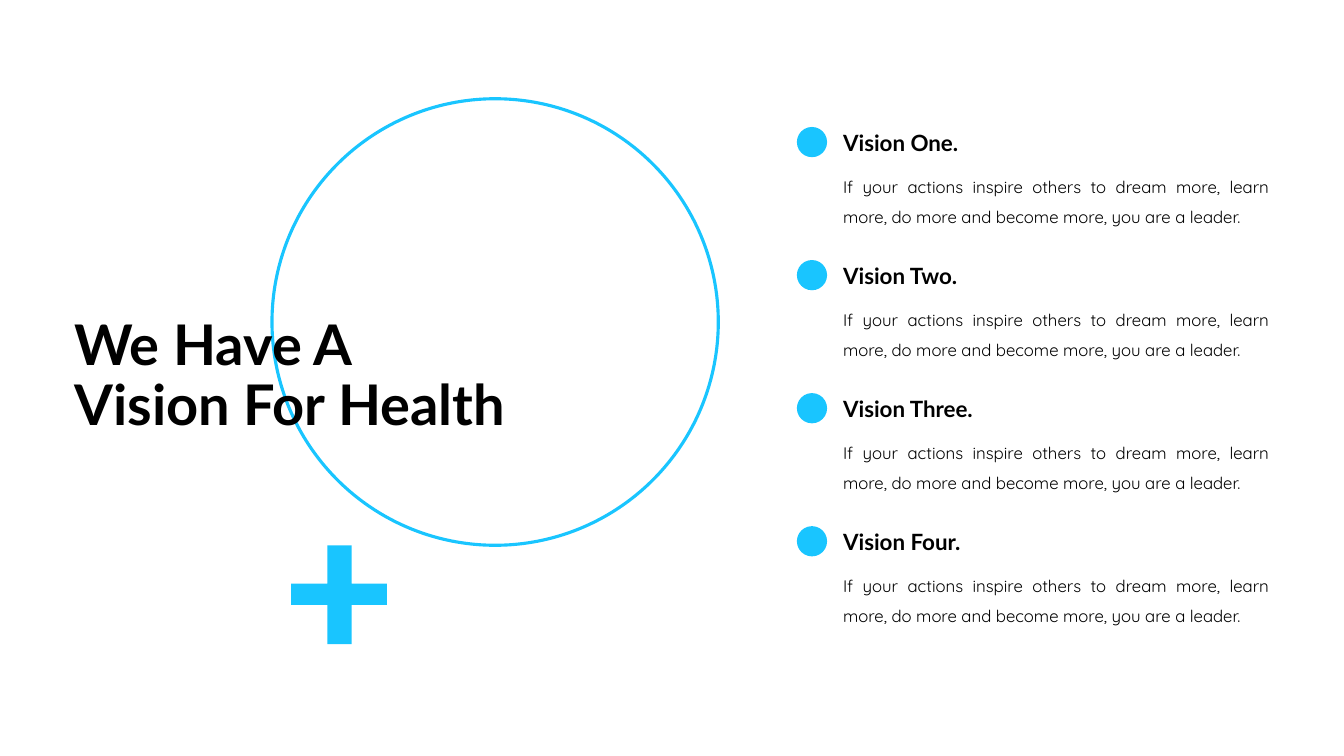
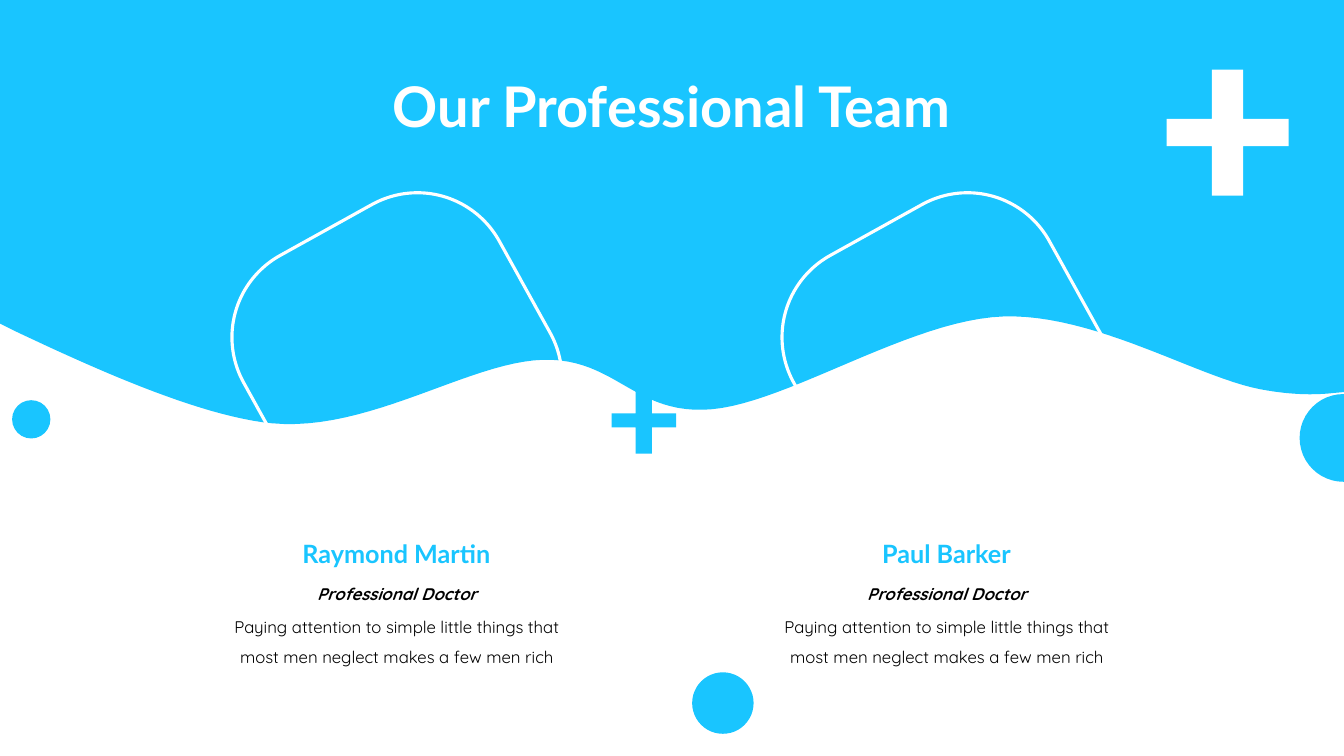
from pptx import Presentation
from pptx import util as u
from pptx.dml.color import RGBColor
from pptx.enum import shapes, text

PX = 9144  # EMU in one px: 100 px to the inch
FINE = 100  # freeform units in one px
COLORS = {"accent": "19C5FF", "ink": "000000", "paper": "FFFFFF"}
HEAD, BODY = "Lato", "Quicksand"
LEFT, CENTER, JUSTIFY = text.PP_ALIGN.LEFT, text.PP_ALIGN.CENTER, text.PP_ALIGN.JUSTIFY
TOP, MIDDLE = text.MSO_ANCHOR.TOP, text.MSO_ANCHOR.MIDDLE
OVAL = shapes.MSO_SHAPE.OVAL


def write(sp, box, lines, size, font, color, align=LEFT, anchor=TOP,
          spacing=1.0, bold=False, italic=False):
    """Place a text shape and fill its only paragraph, run by run."""
    sp.left, sp.top, sp.width, sp.height = [v * PX for v in box]
    tf = sp.text_frame
    tf.word_wrap = True
    tf.auto_size = text.MSO_AUTO_SIZE.NONE
    tf.vertical_anchor = anchor
    p = tf.paragraphs[0]
    p.alignment, p.line_spacing = align, spacing
    for i, line in enumerate(lines):
        if i:
            p.add_line_break()
        r = p.add_run()
        r.text = line
        r.font.name, r.font.size = font, u.Pt(size)
        r.font.bold, r.font.italic = bold, italic
        r.font.color.rgb = RGBColor.from_string(COLORS[color])


def paint(sp, fill=None, line=None):
    """Give a shape a flat fill, an outline, or neither."""
    sp.shadow.inherit = False
    if fill:
        sp.fill.solid()
        sp.fill.fore_color.rgb = RGBColor.from_string(COLORS[fill])
    else:
        sp.fill.background()
    if line:
        sp.line.color.rgb = RGBColor.from_string(COLORS[line])
        sp.line.width = u.Pt(2.25)
    else:
        sp.line.fill.background()


prs = Presentation()
prs.slide_width, prs.slide_height = 1334 * PX, 750 * PX
vision = prs.slides.add_slide(prs.slide_layouts[5])
team = prs.slides.add_slide(prs.slide_layouts[5])

# Vision: large ring
ring = vision.shapes.add_shape(OVAL, 270 * PX, 98 * PX, 443 * PX, 443 * PX)
paint(ring, line="accent")

# Vision: four points, evenly spaced
for i, number in enumerate(["One", "Two", "Three", "Four"]):
    y = 123 + 132 * i
    write(vision.shapes.add_textbox(0, 0, 0, 0), (827, y, 285, 37),
          [f"Vision {number}."], 16, HEAD, "ink", anchor=MIDDLE, bold=True)
    write(vision.shapes.add_textbox(0, 0, 0, 0), (827, y + 37, 443, 70),
          ["If your actions inspire others to dream more, learn more, "
           "do more and become more, you are a leader."],
          12, BODY, "ink", align=JUSTIFY, spacing=1.5)
    dot = vision.shapes.add_shape(OVAL, 791 * PX, (y + 3) * PX, 30 * PX, 30 * PX)
    paint(dot, fill="accent")

# Team: wave band, its lower edge sampled from Bézier curves (right to left)
wave_start = (1323, 390)
wave_curves = [
    ((1305, 392), (1281, 392), (1250, 386)),
    ((1188, 374), (1086, 311), (996, 314)),
    ((905, 317), (783, 399), (707, 406)),
    ((630, 413), (612, 355), (539, 357)),
    ((466, 359), (366, 429), (270, 420)),
    ((197, 413), (88, 363), (16, 329)),
]
STEPS = 24
points = [(1334, 0), (1334, 389), wave_start]
for b, c, d in wave_curves:
    a = points[-1]
    for k in range(1, STEPS + 1):
        t = k / STEPS
        weights = ((1 - t) ** 3, 3 * t * (1 - t) ** 2, 3 * t * t * (1 - t), t ** 3)
        points.append(tuple(sum(w * q[axis] for w, q in zip(weights, (a, b, c, d)))
                            for axis in (0, 1)))
points.append((0, 321))
fb = team.shapes.build_freeform(0, 0, scale=PX / FINE)
fb.add_line_segments([(x * FINE, y * FINE) for x, y in points], close=True)
paint(fb.convert_to_shape(), fill="accent")

# Team: one tilted frame and caption per member
for i, name in enumerate(["Raymond Martin", "Paul Barker"]):
    cx = 394 + 546 * i
    frame = team.shapes.add_shape(shapes.MSO_SHAPE.ROUNDED_RECTANGLE,
                                  (cx - 145) * PX, 210 * PX, 290 * PX, 290 * PX)
    frame.adjustments[0] = 0.32
    frame.rotation = -29
    paint(frame, line="paper")
    write(team.shapes.add_textbox(0, 0, 0, 0), (cx - 117, 529, 233, 40),
          [name], 18, HEAD, "accent", align=CENTER, anchor=MIDDLE, bold=True)
    write(team.shapes.add_textbox(0, 0, 0, 0), (cx - 192, 597, 384, 70),
          ["Paying attention to simple little things that most men neglect "
           "makes a few men rich"], 12, BODY, "ink", align=CENTER, spacing=1.5)
    write(team.shapes.add_textbox(0, 0, 0, 0), (cx - 180, 564, 360, 40),
          ["Professional Doctor"], 12, BODY, "ink", align=CENTER,
          spacing=1.5, bold=True, italic=True)

# Team: loose dots
for x, y, size in [(12, 397, 38), (1290, 391, 87), (687, 667, 61)]:
    dot = team.shapes.add_shape(OVAL, x * PX, y * PX, size * PX, size * PX)
    paint(dot, fill="accent")

# Plus signs on both slides, from the four x and four y edges of their arms
pluses = [
    (vision, (289, 325, 349, 384), (541, 579, 600, 639), "accent"),
    (team, (607, 631, 647, 671), (385, 410, 424, 450), "accent"),
    (team, (1158, 1203, 1234, 1279), (69, 118, 145, 194), "paper"),
]
corners = [(1, 0), (2, 0), (2, 1), (3, 1), (3, 2), (2, 2),
           (2, 3), (1, 3), (1, 2), (0, 2), (0, 1), (1, 1)]
for s, xs, ys, color in pluses:
    outline = [(xs[i], ys[j]) for i, j in corners]
    fb = s.shapes.build_freeform(*outline[0], scale=PX)
    fb.add_line_segments(outline[1:], close=True)
    paint(fb.convert_to_shape(), fill=color)

# Titles, brought in front of the artwork
titles = [
    (vision, (64, 302, 509, 145), ["We Have A", "Vision For Health"], "ink", LEFT),
    (team, (231, 36, 871, 145), ["Our Professional Team"], "paper", CENTER),
]
for s, box, lines, color, align in titles:
    title = s.shapes.title
    write(title, box, lines, 40, HEAD, color, align=align, anchor=MIDDLE,
          spacing=0.9, bold=True)
    title.element.getparent().append(title.element)

prs.save("out.pptx")
